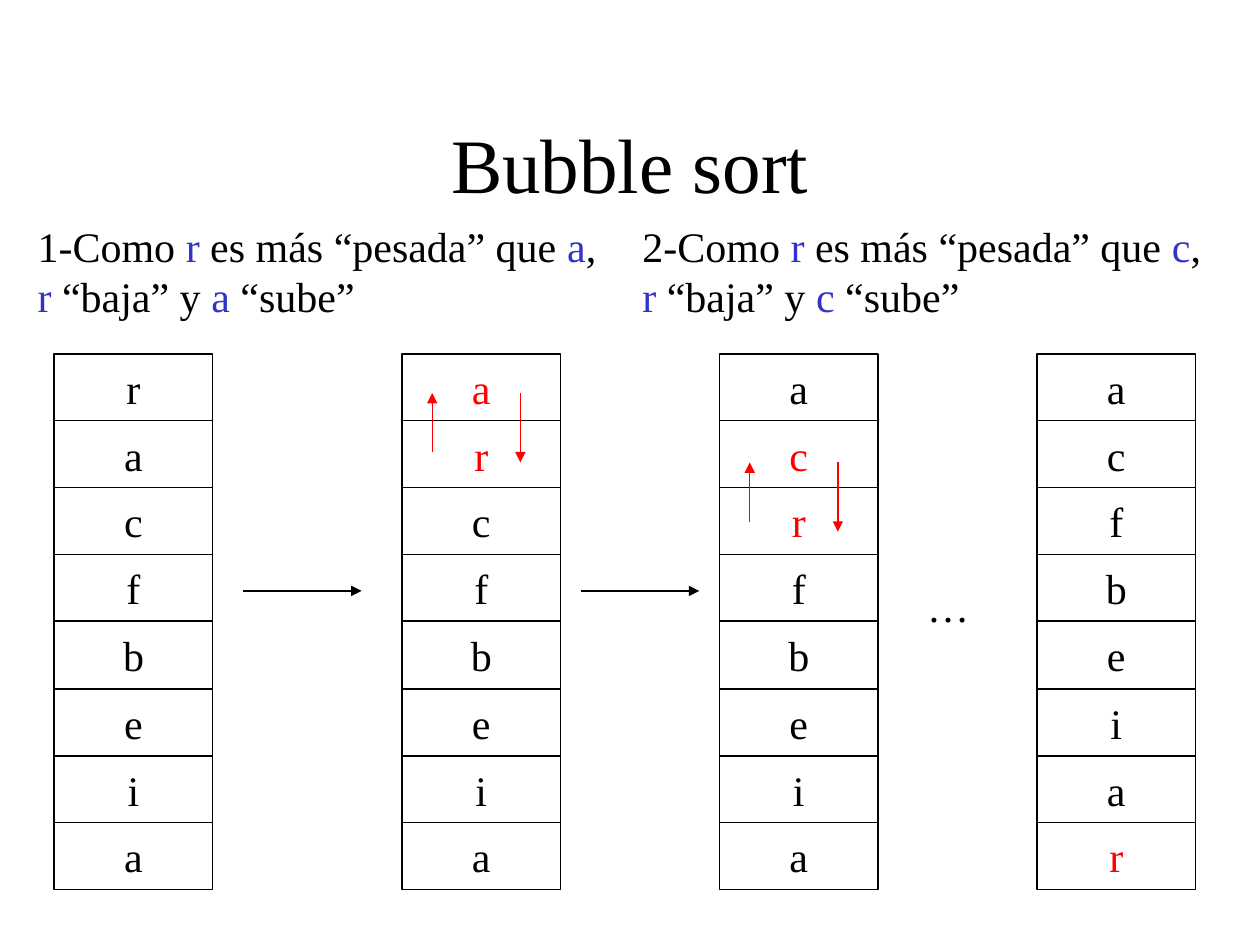
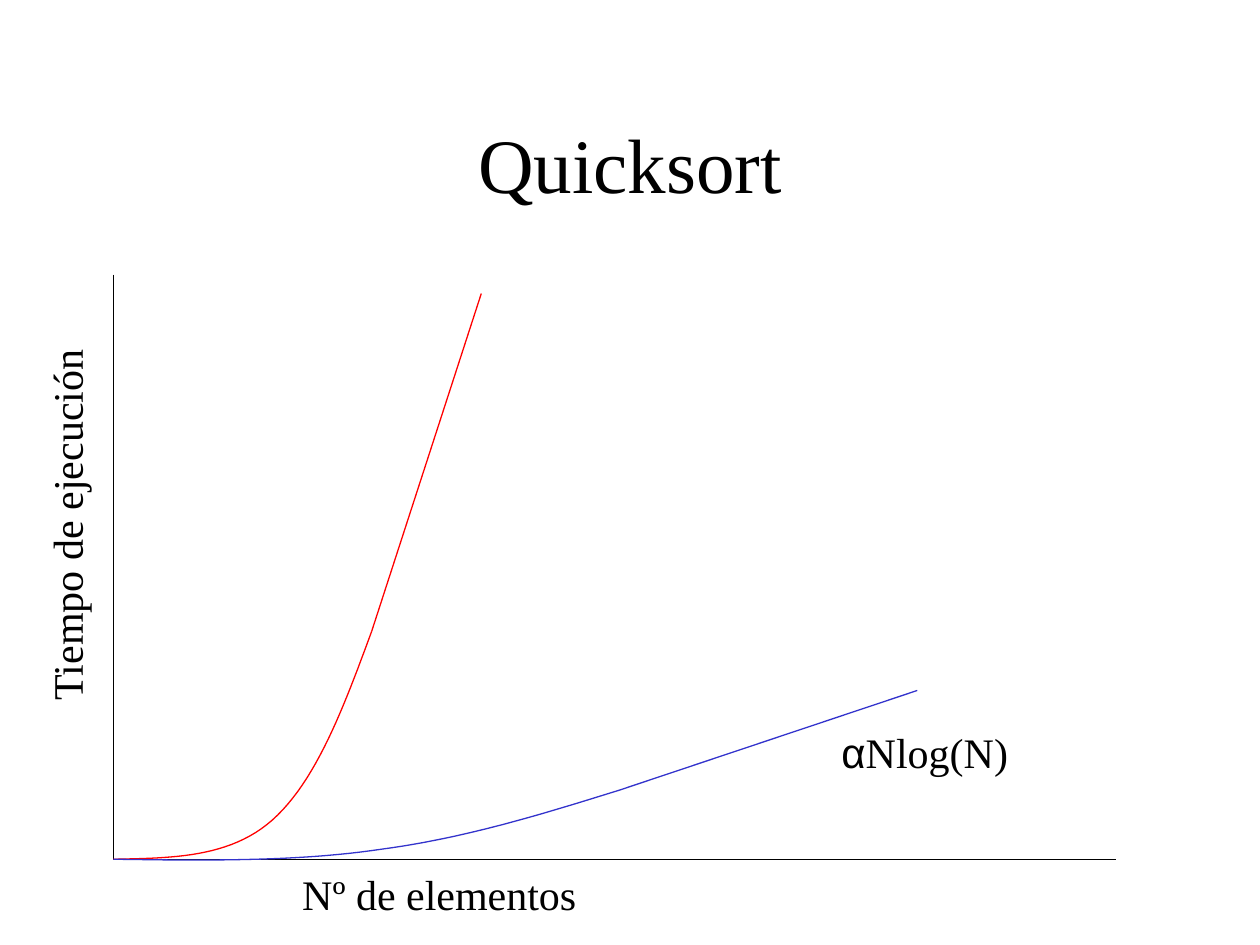
import dataclasses
import typing

import lxml.etree
import pptx
import pptx.dml.color
import pptx.enum.shapes
import pptx.enum.text
import pptx.oxml.ns
import pptx.shapes.autoshape
import pptx.shapes.shapetree
import pptx.slide
import pptx.text.text
import pptx.util

SCALE = 9144
Color = pptx.dml.color.RGBColor
Align = pptx.enum.text.PP_ALIGN
Anchor = pptx.enum.text.MSO_ANCHOR


@dataclasses.dataclass(frozen=True)
class Theme:
    ink: Color = Color(0x00, 0x00, 0x00)
    paper: Color = Color(0xFF, 0xFF, 0xFF)
    red: Color = Color(0xFF, 0x00, 0x00)
    blue: Color = Color(0x33, 0x33, 0xCC)
    font: str = "Times New Roman"
    greek: str = "Arial"
    head: float = 44
    text: float = 24
    line: float = 0.75


THEME = Theme()


class Run(typing.NamedTuple):
    text: str
    color: Color = THEME.ink
    font: str = THEME.font
    size: float = THEME.text


class Box(typing.NamedTuple):
    left: int
    top: int
    width: int
    height: int


class Point(typing.NamedTuple):
    x: float
    y: float


@dataclasses.dataclass(frozen=True)
class Line:
    start: Point
    end: Point
    color: Color = THEME.ink
    arrow: bool = False


@dataclasses.dataclass(frozen=True)
class Label:
    box: Box
    rows: tuple[tuple[Run, ...], ...]
    turn: int = 0


@dataclasses.dataclass(frozen=True)
class Stack:
    left: int
    letters: str
    hot: tuple[int, ...] = ()
    swap: bool = False


@dataclasses.dataclass(frozen=True)
class Curve:
    knots: tuple[Point, ...]
    end: Point
    color: Color


TITLE = Box(75, 67, 850, 125)
TOP, WIDTH, HEIGHT = 281, 126, 425
SWAP_TOP, SWAP_STEP = 312, 55

STACKS = (
    Stack(43, "racfbeia"),
    Stack(319, "arcfbeia", (0, 1), True),
    Stack(571, "acrfbeia", (1, 2), True),
    Stack(823, "acfbeiar", (7,)),
)
STEPS = (
    Line(Point(193, 469), Point(287, 469), arrow=True),
    Line(Point(461, 469), Point(555, 469), arrow=True),
)
DOTS = Label(Box(726, 456, 55, 50), ((Run("…"),),))

ORIGIN = Point(90, 682)
AXES = (
    Line(Point(90, 218), ORIGIN),
    Line(ORIGIN, Point(886, 682)),
)
CURVES = (
    Curve(
        (ORIGIN, Point(136, 681), Point(182, 681), Point(216, 651),
         Point(251, 620), Point(273, 561), Point(295, 501)),
        Point(382, 233),
        THEME.red,
    ),
    Curve(
        (ORIGIN, Point(163, 683), Point(236, 684), Point(303, 674),
         Point(370, 665), Point(431, 646), Point(492, 627)),
        Point(728, 548),
        THEME.blue,
    ),
)
LABELS = (
    Label(Box(230, 684, 241, 50), ((Run("Nº de elementos"),),)),
    Label(Box(-99, 389, 303, 50), ((Run("Tiempo de ejecución"),),), 270),
    Label(Box(658, 572, 158, 50), ((Run("α", font=THEME.greek), Run("Nlog(N)")),)),
)


def px(size: float) -> pptx.util.Emu:
    return pptx.util.Emu(round(size * SCALE))


def place(box: Box) -> tuple[pptx.util.Emu, ...]:
    return tuple(px(side) for side in box)


def write(
    para: pptx.text.text._Paragraph,
    runs: typing.Iterable[Run],
    align: Align = Align.LEFT,
) -> None:
    para.alignment = align
    for item in runs:
        run = para.add_run()
        run.text = item.text
        run.font.name = item.font
        run.font.size = pptx.util.Pt(item.size)
        run.font.color.rgb = item.color


def add_slide(deck: pptx.presentation.Presentation, name: str) -> pptx.slide.Slide:
    slide = deck.slides.add_slide(deck.slide_layouts[5])
    title = slide.shapes.title
    title.left, title.top, title.width, title.height = place(TITLE)
    title.text_frame.vertical_anchor = Anchor.MIDDLE
    write(title.text_frame.paragraphs[0], [Run(name, size=THEME.head)], Align.CENTER)
    return slide


def add_label(slide: pptx.slide.Slide, label: Label) -> None:
    shape = slide.shapes.add_textbox(*place(label.box))
    shape.rotation = label.turn
    frame = shape.text_frame
    frame.word_wrap = False
    frame.auto_size = pptx.enum.text.MSO_AUTO_SIZE.SHAPE_TO_FIT_TEXT
    for index, runs in enumerate(label.rows):
        para = frame.add_paragraph() if index else frame.paragraphs[0]
        write(para, runs)


def add_line(shapes: pptx.shapes.shapetree._BaseGroupShapes, line: Line) -> None:
    link = shapes.add_connector(
        pptx.enum.shapes.MSO_CONNECTOR.STRAIGHT,
        *(px(value) for value in (*line.start, *line.end)),
    )
    link.line.color.rgb = line.color
    link.line.width = pptx.util.Pt(THEME.line)
    qn = pptx.oxml.ns.qn
    props = link.element.spPr
    if line.arrow:
        stroke = props.find(qn("a:ln"))
        lxml.etree.SubElement(stroke, qn("a:tailEnd"), type="triangle")
    lxml.etree.SubElement(props, qn("a:effectLst"))


def add_stack(slide: pptx.slide.Slide, stack: Stack) -> None:
    group = slide.shapes.add_group_shape()
    count = len(stack.letters)
    edges = [TOP + round(HEIGHT * row / count) for row in range(count + 1)]
    for row, letter in enumerate(stack.letters):
        box = Box(stack.left, edges[row], WIDTH, edges[row + 1] - edges[row])
        cell = group.shapes.add_shape(
            pptx.enum.shapes.MSO_SHAPE.RECTANGLE, *place(box)
        )
        cell.shadow.inherit = False
        cell.fill.solid()
        cell.fill.fore_color.rgb = THEME.paper
        cell.line.color.rgb = THEME.ink
        cell.line.width = pptx.util.Pt(THEME.line)
        frame = cell.text_frame
        frame.word_wrap = False
        frame.vertical_anchor = Anchor.MIDDLE
        color = THEME.red if row in stack.hot else THEME.ink
        write(frame.paragraphs[0], [Run(letter, color)], Align.CENTER)
    if stack.swap:
        top = SWAP_TOP + SWAP_STEP * stack.hot[0]
        down, up = stack.left + 94, stack.left + 24
        for line in (
            Line(Point(down, top), Point(down, top + 55), THEME.red, True),
            Line(Point(up, top + 47), Point(up, top), THEME.red, True),
        ):
            add_line(group.shapes, line)


def trace(knots: tuple[Point, ...], steps: int = 24) -> list[Point]:
    spots = [knots[0]]
    for first in range(0, len(knots) - 1, 3):
        a, b, c, d = knots[first:first + 4]
        for step in range(1, steps + 1):
            t = step / steps
            u = 1 - t
            parts = (u ** 3, 3 * u * u * t, 3 * u * t * t, t ** 3)
            spots.append(Point(
                sum(k * p.x for k, p in zip(parts, (a, b, c, d))),
                sum(k * p.y for k, p in zip(parts, (a, b, c, d))),
            ))
    return spots


def add_curve(slide: pptx.slide.Slide, curve: Curve) -> None:
    spots = [(px(spot.x), px(spot.y)) for spot in trace(curve.knots)]
    pen = slide.shapes.build_freeform(*spots[0])
    pen.add_line_segments(spots[1:], close=False)
    shape = pen.convert_to_shape()
    shape.shadow.inherit = False
    shape.fill.background()
    shape.line.color.rgb = curve.color
    shape.line.width = pptx.util.Pt(THEME.line)
    add_line(slide.shapes, Line(curve.knots[-1], curve.end, curve.color))


def explain(left: int, step: int, light: str) -> Label:
    heavy, other = Run("r", THEME.blue), Run(light, THEME.blue)
    return Label(Box(left, 170, 468, 90), (
        (Run(f"{step}-Como "), heavy, Run(" es más “pesada” que "), other, Run(",")),
        (heavy, Run(" “baja” y "), other, Run(" “sube”")),
    ))


def draw_bubble(deck: pptx.presentation.Presentation) -> None:
    slide = add_slide(deck, "Bubble sort")
    for stack in STACKS:
        add_stack(slide, stack)
    for label in (explain(20, 1, "a"), explain(500, 2, "c"), DOTS):
        add_label(slide, label)
    for line in STEPS:
        add_line(slide.shapes, line)


def draw_quick(deck: pptx.presentation.Presentation) -> None:
    slide = add_slide(deck, "Quicksort")
    for line in AXES:
        add_line(slide.shapes, line)
    for curve in CURVES:
        add_curve(slide, curve)
    for label in LABELS:
        add_label(slide, label)


def main() -> None:
    deck = pptx.Presentation()
    deck.slide_width, deck.slide_height = px(1000), px(750)
    draw_bubble(deck)
    draw_quick(deck)
    deck.save("out.pptx")


if __name__ == "__main__":
    main()
